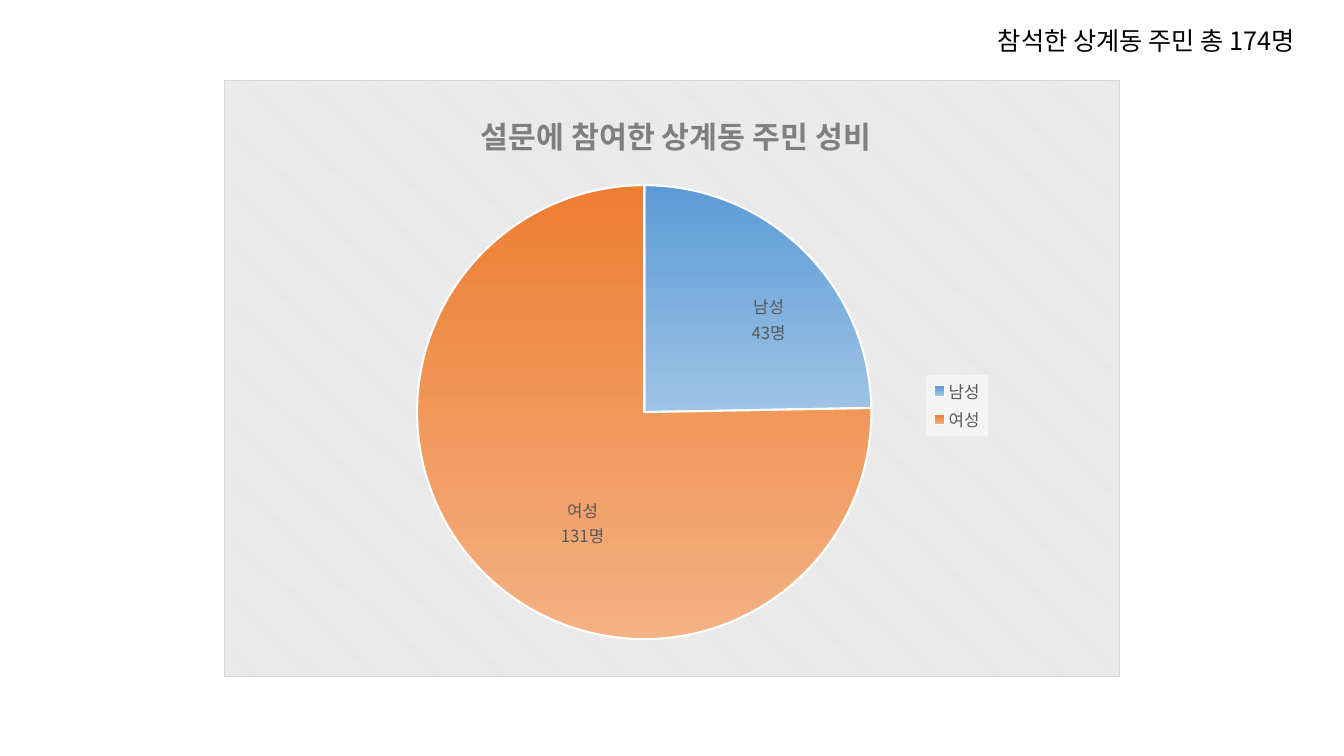
import pptx
import pptx.chart.data
import pptx.dml.color
import pptx.enum.chart
import pptx.enum.text
import pptx.oxml
import pptx.util
from pptx.util import Inches

FONT = "Noto Sans CJK KR"
COLORS = {"text": "000000", "title": "7F7F7F", "label": "595959",
          "white": "FFFFFF", "stripe": "E6E6E6", "border": "D9D9D9", "legend": "F4F4F4"}
NS = ('xmlns:c="http://schemas.openxmlformats.org/drawingml/2006/chart" '
      'xmlns:a="http://schemas.openxmlformats.org/drawingml/2006/main"')


def add_text(p, text, size, color, bold=False):
    r = p.add_run()
    r.text = text
    r.font.name = FONT
    r.font.size = pptx.util.Pt(size)
    r.font.bold = bold
    r.font.color.rgb = pptx.dml.color.RGBColor.from_string(COLORS[color])


def layout(x, y, w=None, h=None, mode="edge", target=""):
    modes = '<c:xMode val="edge"/><c:yMode val="edge"/>' if mode == "edge" else ""
    size = f'<c:w val="{w}"/><c:h val="{h}"/>' if w else ""
    return (f'<c:layout {NS}><c:manualLayout>{target}{modes}'
            f'<c:x val="{x}"/><c:y val="{y}"/>{size}</c:manualLayout></c:layout>')


prs = pptx.Presentation()
prs.slide_width, prs.slide_height = Inches(13.33), Inches(7.5)
s = prs.slides.add_slide(prs.slide_layouts[6])

# Pie chart
data = pptx.chart.data.CategoryChartData(number_format='0"명"')
data.categories = ["남성", "여성"]
data.add_series("Series 1", [43, 131])
chart = s.shapes.add_chart(pptx.enum.chart.XL_CHART_TYPE.PIE, Inches(2.22), Inches(0.79),
                           Inches(8.89), Inches(5.93), data).chart
chart.font.name = FONT
chart.font.size = pptx.util.Pt(10)
plot = chart.plots[0]
plot.vary_by_categories = True
root = chart.element
parse_xml = pptx.oxml.parse_xml

# Title
add_text(chart.chart_title.text_frame.paragraphs[0], "설문에 참여한 상계동 주민 성비", 21.6, "title", bold=True)
for old in root.xpath("c:chart/c:title/c:layout"):
    old.getparent().remove(old)
root.xpath("c:chart/c:title/c:tx")[0].addnext(parse_xml(layout(0.28, 0.04)))

# Chart background
root.xpath("c:chart")[0].addnext(parse_xml(
    f'<c:spPr {NS}><a:pattFill prst="dkDnDiag">'
    f'<a:fgClr><a:srgbClr val="{COLORS["white"]}"/></a:fgClr>'
    f'<a:bgClr><a:srgbClr val="{COLORS["stripe"]}"/></a:bgClr></a:pattFill>'
    f'<a:ln w="9525"><a:solidFill><a:srgbClr val="{COLORS["border"]}"/></a:solidFill></a:ln></c:spPr>'))

# Plot area
for old in root.xpath("c:chart/c:plotArea/c:layout"):
    old.getparent().remove(old)
root.xpath("c:chart/c:plotArea")[0].insert(
    0, parse_xml(layout(0.215, 0.176, 0.508, 0.761, target='<c:layoutTarget val="inner"/>')))

# Slices
series = plot.series[0]
for i, stops in enumerate([("5B9BD5", "9DC3E6"), ("ED7D31", "F4B183")]):
    fmt = series.points[i].format
    fmt.fill.gradient()
    fmt.fill.gradient_angle = 270
    for stop, position, color in zip(fmt.fill.gradient_stops, (0, 1), stops):
        stop.position = position
        stop.color.rgb = pptx.dml.color.RGBColor.from_string(color)
    fmt.line.color.rgb = pptx.dml.color.RGBColor.from_string(COLORS["white"])
    fmt.line.width = pptx.util.Pt(1.5)

# Slice labels, each moved from the middle of its slice
style = (f'<c:numFmt formatCode="0&quot;명&quot;" sourceLinked="0"/><c:spPr><a:noFill/></c:spPr>'
         f'<c:txPr><a:bodyPr/><a:p><a:pPr><a:defRPr sz="1200"><a:solidFill>'
         f'<a:srgbClr val="{COLORS["label"]}"/></a:solidFill><a:latin typeface="{FONT}"/>'
         f'<a:ea typeface="{FONT}"/></a:defRPr></a:pPr><a:endParaRPr lang="ko-KR"/></a:p></c:txPr>'
         '<c:dLblPos val="ctr"/><c:showLegendKey val="0"/><c:showVal val="1"/><c:showCatName val="1"/>'
         '<c:showSerName val="0"/><c:showPercent val="0"/><c:showBubbleSize val="0"/>'
         '<c:separator>\n</c:separator>')
labels = "".join(f'<c:dLbl><c:idx val="{i}"/>{layout(x, y, mode="factor")}{style}</c:dLbl>'
                 for i, (x, y) in enumerate([(0.05, -0.02), (0.02, 0.05)]))
root.xpath(".//c:ser/c:cat")[0].addprevious(parse_xml(
    f'<c:dLbls {NS}>{labels}{style}<c:showLeaderLines val="0"/></c:dLbls>'))

# Legend
chart.has_legend = True
legend = chart.legend
legend.position = pptx.enum.chart.XL_LEGEND_POSITION.RIGHT
legend.include_in_layout = False
legend.font.name = FONT
legend.font.size = pptx.util.Pt(12)
legend.font.color.rgb = pptx.dml.color.RGBColor.from_string(COLORS["label"])
for old in root.xpath("c:chart/c:legend/c:layout"):
    old.getparent().remove(old)
root.xpath("c:chart/c:legend/c:legendPos")[0].addnext(parse_xml(layout(0.784, 0.494, 0.069, 0.102)))
root.xpath("c:chart/c:legend/c:overlay")[0].addnext(parse_xml(
    f'<c:spPr {NS}><a:solidFill><a:srgbClr val="{COLORS["legend"]}"/></a:solidFill></c:spPr>'))

# Attendance note
tf = s.shapes.add_textbox(Inches(9.8), Inches(0.2), Inches(3.5), Inches(0.4)).text_frame
tf.word_wrap = False
tf.auto_size = pptx.enum.text.MSO_AUTO_SIZE.SHAPE_TO_FIT_TEXT
add_text(tf.paragraphs[0], "참석한 상계동 주민 총 174명", 18, "text")

prs.save("out.pptx")
